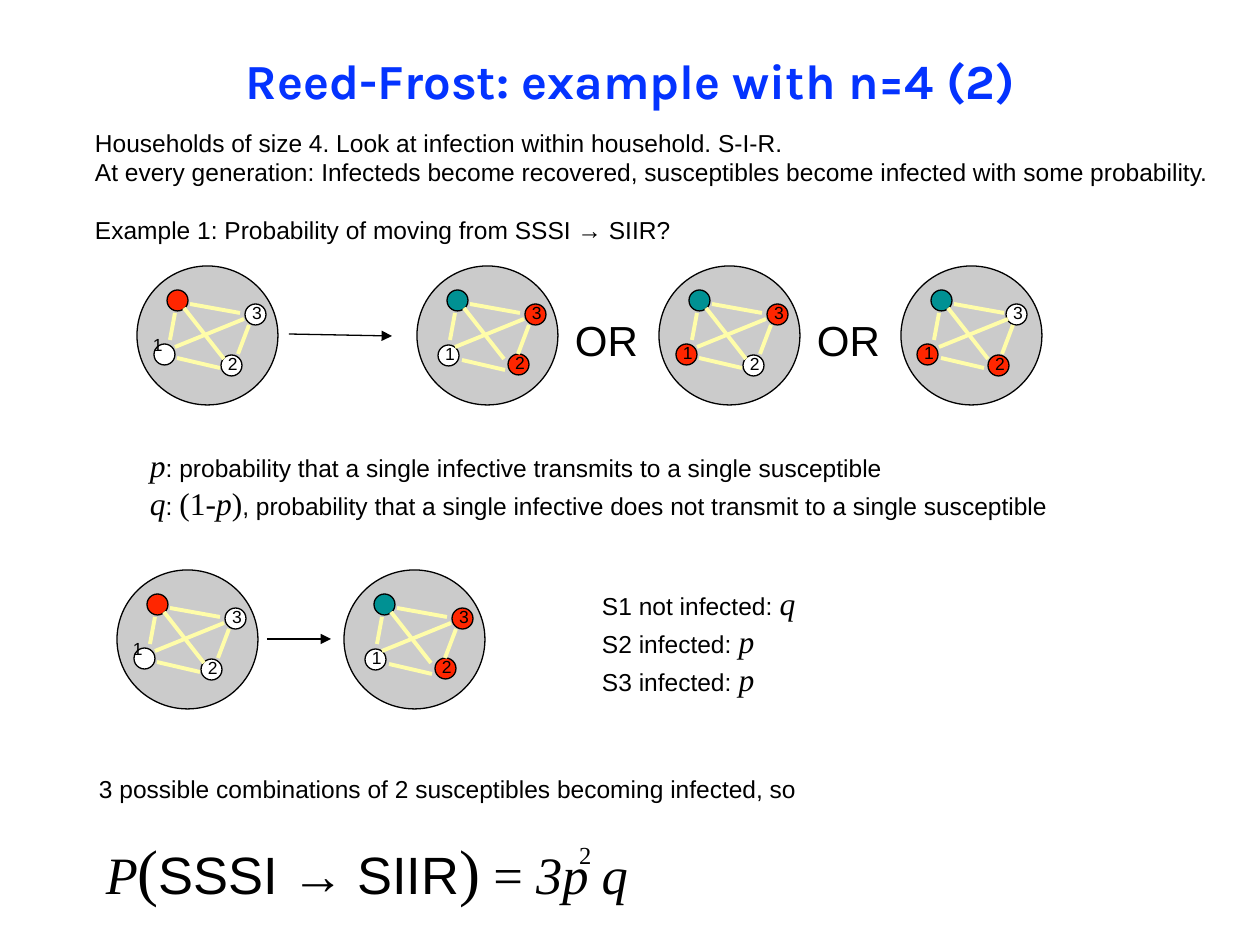
import pptx
import pptx.dml.color
import pptx.enum.shapes
import pptx.enum.text
import pptx.oxml.ns
import pptx.util
from lxml import etree

EMU_PER_PX = 914400 / 126
COLORS = {
    "title": "0433FF", "ink": "000000", "household": "CBCBCB", "contact": "FFFDA9",
    "S": "FFFFFF", "I": "FF2600", "R": "009193",
}
SANS, SERIF = "Arial", "Times New Roman"
MATH = {"font": SERIF, "size": 18, "italic": True}
HOUSEHOLD_SIZE = (141, 139)
PERSON = 21
PEOPLE = ((30, 24), (17, 78), (84, 89), (108, 38))
SHIFTED_PEOPLE = ((30, 24), (21, 79), (91, 88), (108, 38))
NARROW_PEOPLE = ((30, 24), (16, 78), (87, 89), (105, 38))
CONTACTS = (
    ((47, 42), (87, 93)), ((38, 81), (107, 53)), ((40, 92), (83, 102)),
    ((38, 47), (33, 74)), ((112, 59), (101, 88)), ((103, 47), (53, 38)),
)


def px(length):
    """Turn pixels into EMU."""
    return pptx.util.Emu(round(length * EMU_PER_PX))


def rgb(name):
    """Look up a named colour."""
    return pptx.dml.color.RGBColor.from_string(COLORS[name])


def add_text(slide, box, paragraphs, inset=13, align=None, gap=0, **style):
    """Write paragraphs of (text, format) runs; the last one follows the gap."""
    frame = slide.shapes.add_textbox(*map(px, box)).text_frame
    frame.word_wrap = True
    frame.margin_left = frame.margin_right = px(inset)
    frame.margin_top = frame.margin_bottom = px(inset)
    for index, runs in enumerate(paragraphs):
        paragraph = frame.paragraphs[0] if index == 0 else frame.add_paragraph()
        paragraph.alignment = align
        if gap and index == len(paragraphs) - 1:
            paragraph.space_before = pptx.util.Pt(gap)
        for text, changes in runs:
            look = {"font": SANS, "size": 14, "color": "ink"} | style | changes
            for number, line in enumerate(text.split("\n")):
                if number:
                    paragraph.add_line_break()
                run = paragraph.add_run()
                run.text = line
                run.font.name = look["font"]
                run.font.size = pptx.util.Pt(look["size"])
                run.font.color.rgb = rgb(look["color"])
                run.font.bold = look.get("bold")
                run.font.italic = look.get("italic")


def add_disc(shapes, left, top, width, height, color):
    """Draw an outlined ellipse."""
    disc = shapes.add_shape(
        pptx.enum.shapes.MSO_SHAPE.OVAL, px(left), px(top), px(width), px(height))
    disc.shadow.inherit = False
    disc.fill.solid()
    disc.fill.fore_color.rgb = rgb(color)
    disc.line.color.rgb = rgb("ink")
    disc.line.width = pptx.util.Pt(0.75)


def add_line(shapes, start, end, color="ink", width=0.75, arrow=False):
    """Draw a straight line, with an arrowhead on request."""
    line = shapes.add_connector(
        pptx.enum.shapes.MSO_CONNECTOR.STRAIGHT, *map(px, (*start, *end)))
    line.line.color.rgb = rgb(color)
    line.line.width = pptx.util.Pt(width)
    properties = line._element.spPr
    if arrow:
        etree.SubElement(
            line.line._get_or_add_ln(), pptx.oxml.ns.qn("a:tailEnd"), type="triangle")
    etree.SubElement(properties, pptx.oxml.ns.qn("a:effectLst"))


def add_household(slide, left, top, states, people=PEOPLE):
    """Draw a household with its four people, their contacts and numbers."""
    shapes = slide.shapes.add_group_shape().shapes
    add_disc(shapes, left, top, *HOUSEHOLD_SIZE, "household")
    for (x, y), state in zip(people, states):
        add_disc(shapes, left + x, top + y, PERSON, PERSON, state)
    for index, ends in enumerate(CONTACTS):
        shift = (5, 2) if index == 2 and people is SHIFTED_PEOPLE else (0, 0)
        start, end = [(left + x + shift[0], top + y + shift[1]) for x, y in ends]
        add_line(shapes, start, end, "contact", 2.25)
    for number, (x, y) in enumerate(people[1:], 1):
        box = (left + x - 6, top + y - 13, 43, 32)
        if number == 1 and states == "ISSS":
            box = (left + 11, top + 66, 18, 13)
        add_text(slide, box, [[(str(number), {})]], size=10)


def main():
    """Build the slide."""
    deck = pptx.Presentation()
    deck.slide_width, deck.slide_height = px(1260), px(945)
    slide = deck.slides.add_slide(deck.slide_layouts[6])

    add_text(slide, (0, 43, 1261, 73), [[("Reed-Frost: example with n=4 (2)", {})]],
             inset=8, align=pptx.enum.text.PP_ALIGN.CENTER,
             font="Karla", size=28, color="title", bold=True)
    add_text(slide, (82, 115, 1171, 81), [
        [("Households of size 4. Look at infection within household. S-I-R.\n"
          "At every generation: Infecteds become recovered, susceptibles become "
          "infected with some probability.", {})],
        [("Example 1: Probability of moving from SSSI → SIIR?", {})],
    ], gap=16)

    add_household(slide, 137, 266, "ISSS")
    add_line(slide.shapes, (289, 334), (392, 336), arrow=True)
    add_household(slide, 417, 266, "RSII", SHIFTED_PEOPLE)
    add_household(slide, 659, 266, "RISI")
    add_household(slide, 901, 266, "RIIS", NARROW_PEOPLE)
    for left in (562, 804):
        add_text(slide, (left, 301, 150, 93), [[("OR", {})]], size=24)

    add_text(slide, (137, 433, 1007, 127), [
        [("p", MATH),
         (": probability that a single infective transmits to a single susceptible", {})],
        [("q", MATH), (": ", {}), ("(1-", MATH | {"italic": False}), ("p", MATH),
         (")", MATH | {"italic": False}),
         (", probability that a single infective does not transmit "
          "to a single susceptible", {})],
    ])

    add_household(slide, 117, 570, "ISSS")
    add_line(slide.shapes, (267, 639), (331, 639), arrow=True)
    add_household(slide, 344, 570, "RSII", SHIFTED_PEOPLE)
    outcomes = (("S1 not infected: ", "q"), ("S2 infected: ", "p"), ("S3 infected: ", "p"))
    add_text(slide, (589, 571, 231, 127),
             [[(event, {}), (chance, MATH)] for event, chance in outcomes])

    formula = {"font": SERIF, "size": 30}
    bracket = {"font": SERIF, "size": 36}
    state = {"size": 30}
    add_text(slide, (86, 761, 1123, 144), [
        [("3 possible combinations of 2 susceptibles becoming infected, so", {})],
        [(" ", {}), ("P", formula | {"italic": True}), ("(", bracket), ("SSSI", state),
         (" → ", formula), ("SIIR", state), (")", bracket), (" = ", formula),
         ("3p q", formula | {"italic": True})],
    ], gap=16)
    add_text(slide, (566, 827, 29, 29), [[("2", {})]], font=SERIF)
    deck.save("out.pptx")


if __name__ == "__main__":
    main()
